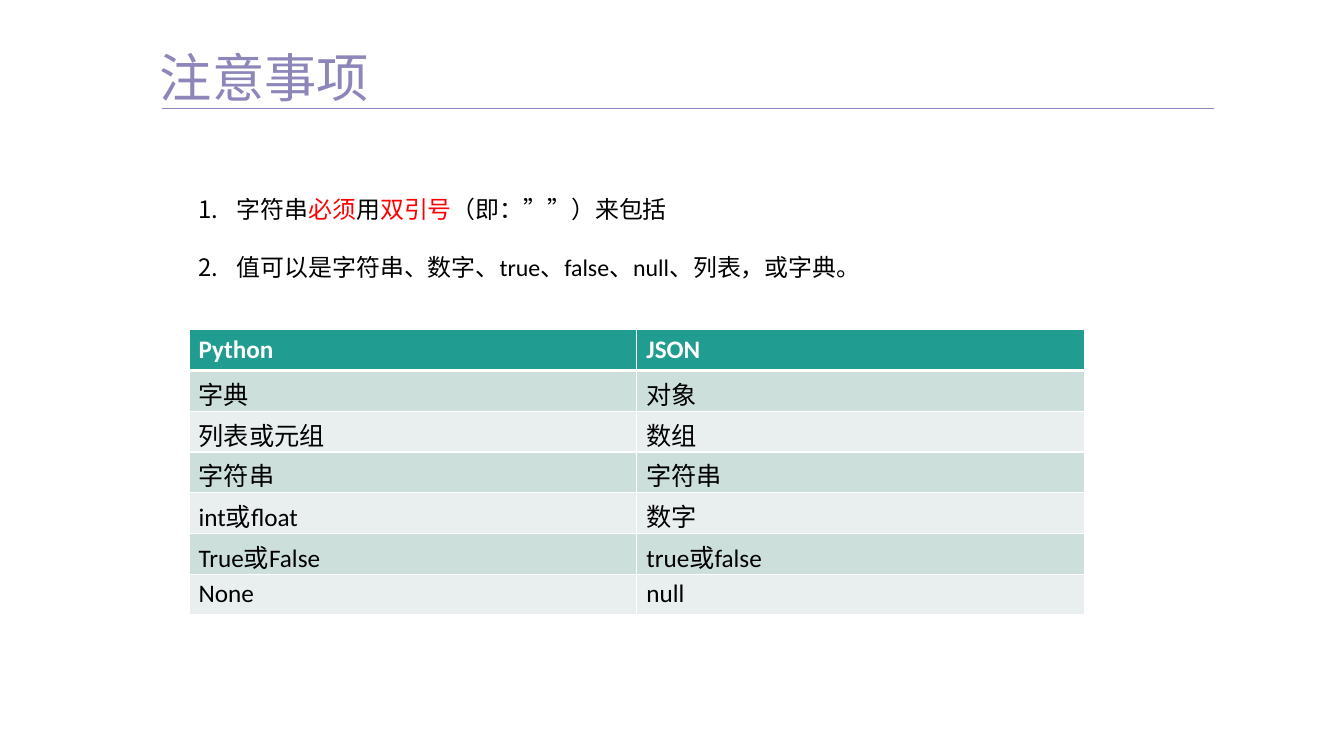
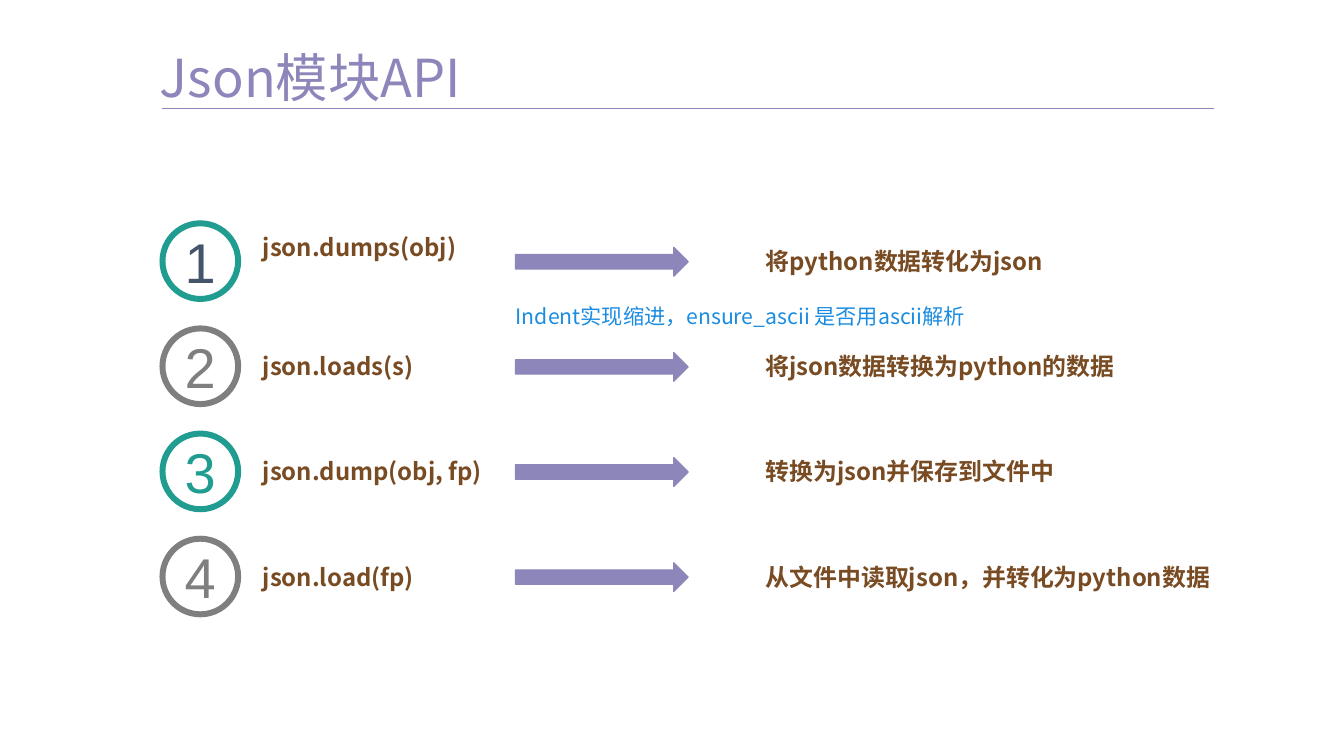
import pptx
import pptx.util
import pptx.dml.color
import pptx.enum.shapes
import pptx.enum.text
import pptx.oxml.ns
from lxml import etree

Pt = pptx.util.Pt
qn = pptx.oxml.ns.qn
SHAPE = pptx.enum.shapes.MSO_SHAPE
ANCHOR = pptx.enum.text.MSO_ANCHOR

PURPLE, TEAL, GRAY, SLATE = "8D86BA", "209D90", "7F7F7F", "44546A"
BROWN, BLUE, RED = "784B23", "1A8CE1", "FF0000"
WHITE, BLACK = "FFFFFF", "000000"
BANDS = ("CDDFDB", "E8EFEE")
HEADING_FONT, BODY_FONT, DIGIT_FONT = "Noto Sans CJK SC", "Calibri", "Arial"


def rgb(color):
    return pptx.dml.color.RGBColor.from_string(color)


def style(span, size, font, color, bold=False):
    span.font.size = Pt(size)
    span.font.name = font
    span.font.bold = bold
    span.font.color.rgb = rgb(color)
    if font == HEADING_FONT:
        etree.SubElement(span.font._element, qn("a:ea"), typeface=font)


def frame_setup(frame, anchor, side=0, edge=0):
    frame.word_wrap = True
    frame.vertical_anchor = anchor
    frame.margin_left = frame.margin_right = Pt(side)
    frame.margin_top = frame.margin_bottom = Pt(edge)


def add_text(slide, words, left, top, width, height, size, color,
             bold=False, anchor=ANCHOR.MIDDLE):
    box = slide.shapes.add_textbox(Pt(left), Pt(top), Pt(width), Pt(height))
    frame_setup(box.text_frame, anchor)
    box.text_frame.text = words
    style(box.text_frame.paragraphs[0].runs[0], size, HEADING_FONT, color, bold)


def add_solid(slide, kind, left, top, width, height, fill, line, weight):
    shape = slide.shapes.add_shape(kind, Pt(left), Pt(top), Pt(width), Pt(height))
    shape.shadow.inherit = False
    shape.fill.solid()
    shape.fill.fore_color.rgb = rgb(fill)
    shape.line.color.rgb = rgb(line)
    shape.line.width = Pt(weight)
    return shape


def titled_slide(deck, title):
    slide = deck.slides.add_slide(deck.slide_layouts[6])
    add_text(slide, title, 120.5, 34, 312, 47.5, 39.4, PURPLE, anchor=ANCHOR.TOP)
    rule = slide.shapes.add_connector(
        pptx.enum.shapes.MSO_CONNECTOR.STRAIGHT,
        Pt(122.4), Pt(81.4), Pt(914.4), Pt(81.4))
    rule.line.color.rgb = rgb(PURPLE)
    rule.line.width = Pt(0.5)
    etree.SubElement(rule._element.spPr, qn("a:effectLst"))
    return slide


# Numbered list: each item is a list of (words, color)
def add_numbered_list(slide, items, left, top, width, height):
    box = slide.shapes.add_textbox(Pt(left), Pt(top), Pt(width), Pt(height))
    frame = box.text_frame
    frame_setup(frame, ANCHOR.TOP, 7.2, 3.6)
    for index, item in enumerate(items):
        para = frame.add_paragraph() if index else frame.paragraphs[0]
        para.space_before = Pt(21.5 if index else 0)
        for words, color in item:
            span = para.add_run()
            span.text = words
            style(span, 18, BODY_FONT, color)
        props = para._p.get_or_add_pPr()
        props.set("marL", str(Pt(28.8)))
        props.set("indent", str(-Pt(28.8)))
        etree.SubElement(props, qn("a:buFont"), typeface="+mj-lt")
        etree.SubElement(props, qn("a:buAutoNum"), type="arabicPeriod")


def set_borders(cell, top, bottom):
    props = cell._tc.get_or_add_tcPr()
    sides = (("lnL", 1), ("lnR", 1), ("lnT", top), ("lnB", bottom))
    for position, (side, weight) in enumerate(sides):
        line = etree.Element(qn("a:" + side), w=str(Pt(weight)))
        fill = etree.SubElement(line, qn("a:solidFill"))
        etree.SubElement(fill, qn("a:srgbClr"), val=WHITE)
        props.insert(position, line)


def add_type_table(slide, rows, left, top, width, height):
    table = slide.shapes.add_table(
        len(rows), len(rows[0]), Pt(left), Pt(top), Pt(width), Pt(height)).table
    for column in table.columns:
        column.width = Pt(width / len(rows[0]))
    for r, row in enumerate(rows):
        table.rows[r].height = Pt(height / len(rows))
        header = r == 0
        for c, words in enumerate(row):
            cell = table.cell(r, c)
            cell.text = words
            cell.margin_left = cell.margin_right = Pt(7.2)
            cell.margin_top = cell.margin_bottom = Pt(3.6)
            cell.fill.solid()
            cell.fill.fore_color.rgb = rgb(TEAL if header else BANDS[(r - 1) % 2])
            style(cell.text_frame.paragraphs[0].runs[0], 19, BODY_FONT,
                  WHITE if header else BLACK, header)
            set_borders(cell, 3 if r == 1 else 1, 3 if header else 1)


# One call: numbered circle, call name, arrow, meaning
def add_api_row(slide, number, call, meaning, ring, digit, left, top, lift):
    size, text_height = 57, 21.6
    middle = top + (size - text_height) / 2
    circle = add_solid(slide, SHAPE.OVAL, left, top, size, size, WHITE, ring, 4.5)
    frame_setup(circle.text_frame, ANCHOR.MIDDLE)
    circle.text_frame.text = str(number)
    para = circle.text_frame.paragraphs[0]
    para.alignment = pptx.enum.text.PP_ALIGN.CENTER
    style(para.runs[0], 42.2, DIGIT_FONT, digit)
    add_text(slide, call, left + 75.6, middle - lift, 180, text_height, 18, BROWN, True)
    add_solid(slide, SHAPE.RIGHT_ARROW, left + 266, middle + 0.5, 130, text_height,
              PURPLE, PURPLE, 1)
    add_text(slide, meaning, left + 454.4, middle, 338, text_height, 18, BROWN, True)


def build_notes(deck):
    slide = titled_slide(deck, "注意事项")
    add_numbered_list(slide, [
        [("字符串", BLACK), ("必须", RED), ("用", BLACK), ("双引号", RED),
         ("（即：””）来包括", BLACK)],
        [("值可以是字符串、数字、true、false、null、列表，或字典。", BLACK)],
    ], 142.5, 143.3, 517.5, 72.7)
    add_type_table(slide, [
        ("Python", "JSON"),
        ("字典", "对象"),
        ("列表或元组", "数组"),
        ("字符串", "字符串"),
        ("int或float", "数字"),
        ("True或False", "true或false"),
        ("None", "null"),
    ], 142.5, 248.4, 674.6, 214.9)


def build_api(deck):
    slide = titled_slide(deck, "Json模块API")
    calls = [
        ("json.dumps(obj)", "将python数据转化为json", TEAL, SLATE, 10.8),
        ("json.loads(s)", "将json数据转换为python的数据", GRAY, GRAY, 0),
        ("json.dump(obj, fp)", "转换为json并保存到文件中", TEAL, TEAL, 0),
        ("json.load(fp)", "从文件中读取json，并转化为python数据", GRAY, GRAY, 0),
    ]
    for index, (call, meaning, ring, digit, lift) in enumerate(calls):
        add_api_row(slide, index + 1, call, meaning, ring, digit,
                    122.4, 168.2 + index * 79.2, lift)
    add_text(slide, "Indent实现缩进，ensure_ascii 是否用ascii解析",
             388.6, 228.3, 391, 19.4, 16, BLUE)


def main():
    deck = pptx.Presentation()
    deck.slide_width, deck.slide_height = Pt(1012.5), Pt(569.5)
    build_notes(deck)
    build_api(deck)
    deck.save("out.pptx")


if __name__ == "__main__":
    main()
